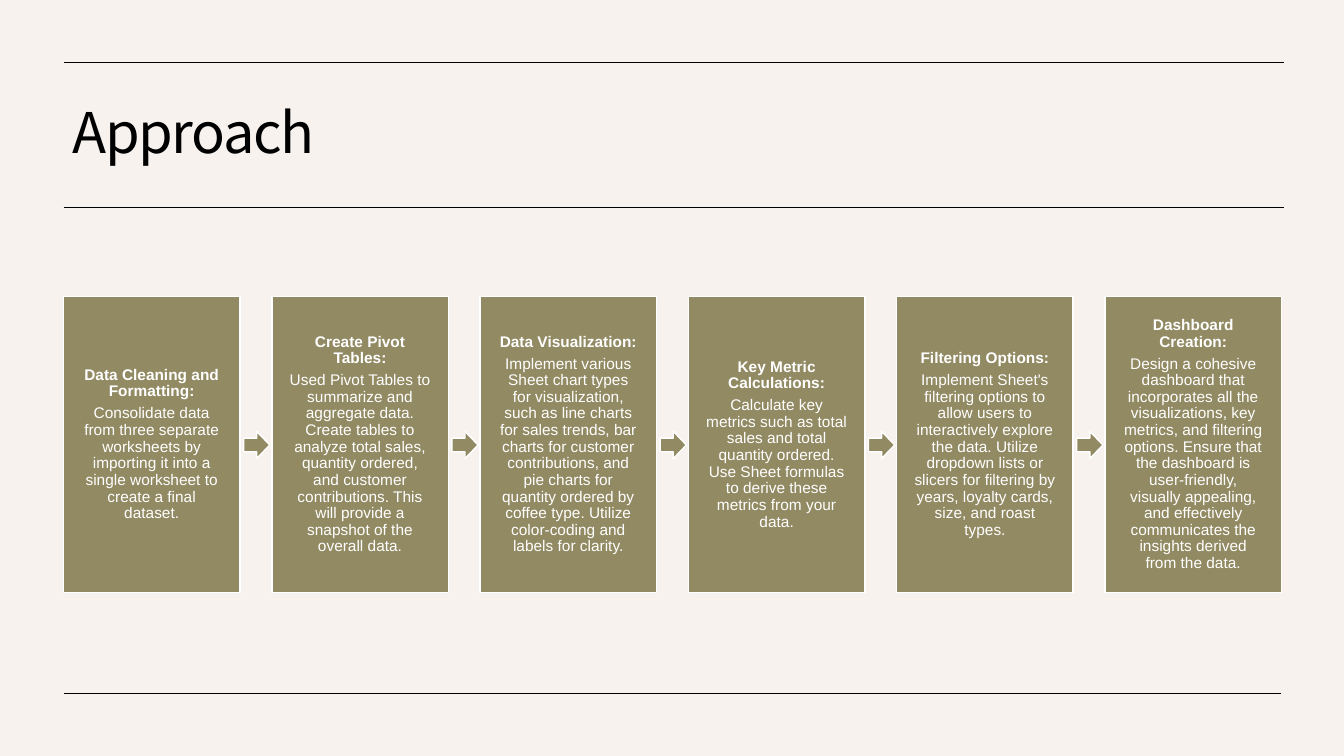
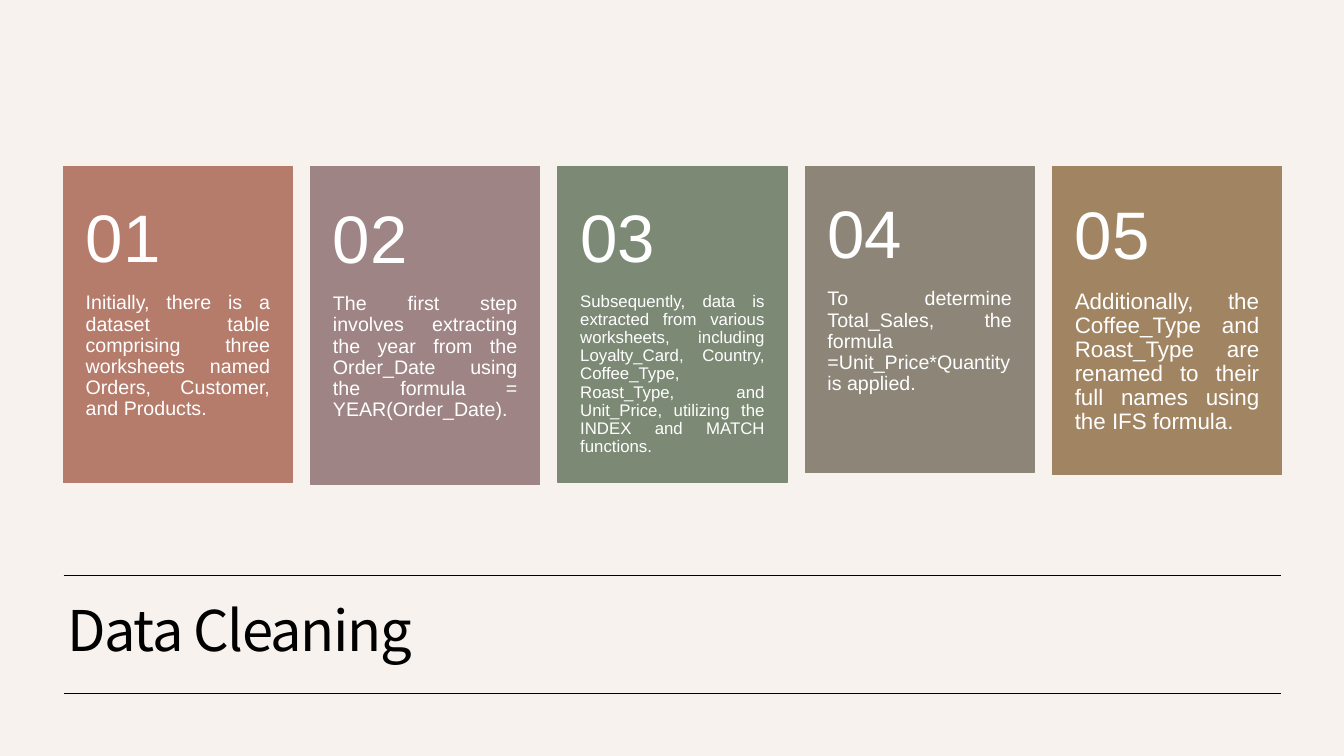
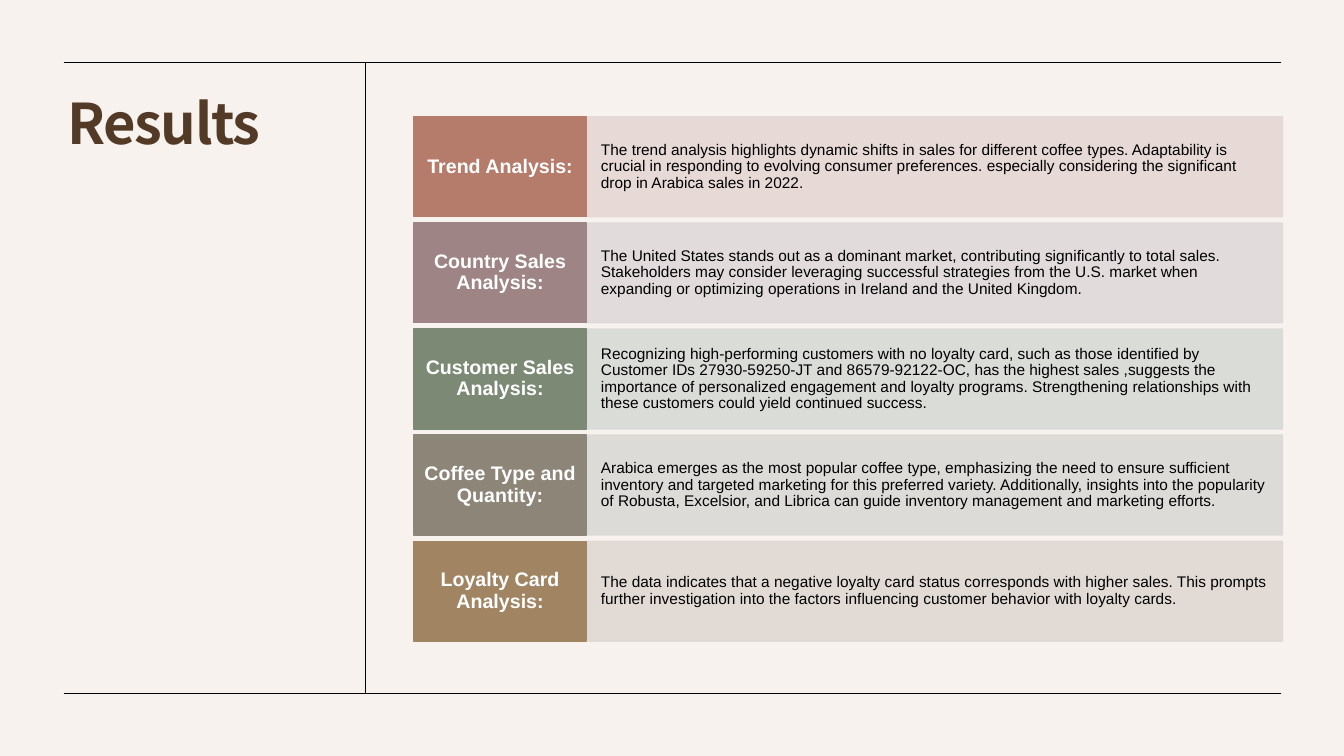
from pptx import Presentation, util as u
from pptx.dml.color import RGBColor
from pptx.enum import shapes, text
from pptx.oxml import parse_xml
from pptx.oxml.ns import nsdecls, qn

INK, WHITE, PAPER = "000000", "FFFFFF", "F7F2EE"
OLIVE, BROWN = "928A63", "523A27"
HUES = ["B57B6B", "9E8484", "7C8A75", "8C8578", "A18563"]
TINTS = ["E5D7D4", "DFD9D9", "D7DAD6", "DAD9D6", "E0D9D3"]
RECT = shapes.MSO_SHAPE.RECTANGLE
ARROW = shapes.MSO_SHAPE.RIGHT_ARROW
LEFT, MID, JUST = text.PP_ALIGN.LEFT, text.PP_ALIGN.CENTER, text.PP_ALIGN.JUSTIFY
TOP, HALF = text.MSO_ANCHOR.TOP, text.MSO_ANCHOR.MIDDLE
X1, X2, Y1, Y2 = 0.63, 12.71, 0.62, 6.88


def rgb(code):
    return RGBColor.from_string(code)


def inch(*nums):
    return [u.Inches(n) for n in nums]


class Deck:
    def __init__(self):
        self.prs = Presentation()
        self.prs.slide_width, self.prs.slide_height = inch(13.33, 7.5)
        fill = self.prs.slide_master.background.fill
        fill.solid()
        fill.fore_color.rgb = rgb(PAPER)

    def page(self):
        self.slide = self.prs.slides.add_slide(self.prs.slide_layouts[6])
        self.rule(X1, Y2, X2, Y2)

    def rule(self, *ends):
        line = self.slide.shapes.add_connector(shapes.MSO_CONNECTOR.STRAIGHT, *inch(*ends))
        line.line.color.rgb = rgb(INK)
        line.line.width = u.Pt(0.5)
        line._element.spPr.append(parse_xml(f"<a:effectLst {nsdecls('a')}/>"))

    def box(self, at, hue, edge=None, kind=RECT, alpha=None):
        box = self.slide.shapes.add_shape(kind, *inch(*at))
        box.shadow.inherit = False
        box.fill.solid()
        box.fill.fore_color.rgb = rgb(hue)
        box.line.color.rgb = rgb(edge or hue)
        box.line.width = u.Pt(1)
        if alpha:
            for tint in box._element.spPr.iter(qn("a:srgbClr")):
                tint.append(parse_xml(f'<a:alpha {nsdecls("a")} val="{alpha * 1000}"/>'))
        return box

    def label(self, at):
        return self.slide.shapes.add_textbox(*inch(*at))

    def words(self, shape, parts, size, hue=WHITE, bold=(False,), align=LEFT,
              anchor=HALF, pad=(0.1, 0.05, 0.1, 0.05), face="Arial", after=0.35):
        frame = shape.text_frame
        frame.word_wrap = True
        frame.vertical_anchor = anchor
        (frame.margin_left, frame.margin_top,
         frame.margin_right, frame.margin_bottom) = inch(*pad)
        frame.text = "\n".join(parts)
        for para, heavy in zip(frame.paragraphs, bold):
            para.alignment = align
            para.line_spacing = 0.9
            para.space_after = u.Pt(size * after)
            font = para.font
            font.name, font.size, font.bold = face, u.Pt(size), heavy
            font.color.rgb = rgb(hue)
        return frame

    def title(self, at, name, hue=INK, bold=False, anchor=HALF):
        frame = self.words(self.label(at), [name], 40, hue, [bold], anchor=anchor,
                           face="Noto Sans CJK KR", after=0)
        frame.paragraphs[0]._p.pPr.find(qn("a:defRPr")).set("spc", "-100")


STEPS = [
    ("Data Cleaning and Formatting:", "Consolidate data from three separate worksheets by importing it into a single worksheet to create a final dataset."),
    ("Create Pivot Tables:", "Used Pivot Tables to summarize and aggregate data. Create tables to analyze total sales, quantity ordered, and customer contributions. This will provide a snapshot of the overall data."),
    ("Data Visualization:", "Implement various Sheet chart types for visualization, such as line charts for sales trends, bar charts for customer contributions, and pie charts for quantity ordered by coffee type. Utilize color-coding and labels for clarity."),
    ("Key Metric Calculations:", "Calculate key metrics such as total sales and total quantity ordered. Use Sheet formulas to derive these metrics from your data."),
    ("Filtering Options:", "Implement Sheet's filtering options to allow users to interactively explore the data. Utilize dropdown lists or slicers for filtering by years, loyalty cards, size, and roast types."),
    ("Dashboard Creation:", "Design a cohesive dashboard that incorporates all the visualizations, key metrics, and filtering options. Ensure that the dashboard is user-friendly, visually appealing, and effectively communicates the insights derived from the data."),
]

CARDS = [
    (3.14, 14, "Initially, there is a dataset table comprising three worksheets named Orders, Customer, and Products."),
    (3.16, 14, "The first step involves extracting the year from the Order_Date using the formula = YEAR(Order_Date)."),
    (3.14, 12, "Subsequently, data is extracted from various worksheets, including Loyalty_Card, Country, Coffee_Type, Roast_Type, and Unit_Price, utilizing the INDEX and MATCH functions."),
    (3.04, 14, "To determine Total_Sales, the formula =Unit_Price*Quantity is applied."),
    (3.06, 16, "Additionally, the Coffee_Type and Roast_Type are renamed to their full names using the IFS formula."),
]

FACTS = [
    ("Trend Analysis:", "The trend analysis highlights dynamic shifts in sales for different coffee types. Adaptability is crucial in responding to evolving consumer preferences. especially considering the significant drop in Arabica sales in 2022."),
    ("Country Sales Analysis:", "The United States stands out as a dominant market, contributing significantly to total sales. Stakeholders may consider leveraging successful strategies from the U.S. market when expanding or optimizing operations in Ireland and the United Kingdom."),
    ("Customer Sales Analysis:", "Recognizing high-performing customers with no loyalty card, such as those identified by Customer IDs 27930-59250-JT and 86579-92122-OC, has the highest sales ,suggests the importance of personalized engagement and loyalty programs. Strengthening relationships with these customers could yield continued success."),
    ("Coffee Type and Quantity:", "Arabica emerges as the most popular coffee type, emphasizing the need to ensure sufficient inventory and targeted marketing for this preferred variety. Additionally, insights into the popularity of Robusta, Excelsior, and Librica can guide inventory management and marketing efforts."),
    ("Loyalty Card Analysis:", "The data indicates that a negative loyalty card status corresponds with higher sales. This prompts further investigation into the factors influencing customer behavior with loyalty cards."),
]


def approach(deck):
    deck.page()
    for y in (Y1, 2.06):
        deck.rule(X1, y, 12.73, y)
    deck.title((0.62, 0.75, 12.08, 1.19), "Approach")
    step = (10.96 - X1) / (len(STEPS) - 1)
    for i, parts in enumerate(STEPS):
        x = X1 + i * step
        if i:
            deck.box((x - 0.28, 4.28, 0.26, 0.27), OLIVE, WHITE, ARROW)
        box = deck.box((x, 2.94, 1.75, 2.94), OLIVE, WHITE)
        deck.words(box, parts, 11, bold=(True, False), align=MID, pad=[0.17] * 4)


def cleaning(deck):
    deck.page()
    deck.title((0.57, 5.78, 12.08, 1), "Data Cleaning")
    deck.rule(X1, 5.71, X2, 5.71)
    step = (10.44 - X1) / (len(CARDS) - 1)
    top, wide = 1.65, 2.27
    for i, (tall, size, note) in enumerate(CARDS):
        x = X1 + i * step
        y = top + 0.4 * tall
        deck.box((x, top, wide, tall), HUES[i])
        deck.words(deck.label((x, y, wide, 0.6 * tall)), [note], size,
                   align=JUST, anchor=TOP, pad=(0.22, 0, 0.22, 0.36))
        deck.words(deck.label((x, y - 1.06, wide, 1.09)), [f"{i + 1:02}"], 48,
                   pad=(0.22, 0.18, 0.22, 0.18))


def results(deck):
    deck.page()
    deck.title((0.57, 0.9, 2.72, 5.79), "Results", BROWN, True, TOP)
    deck.rule(3.62, Y1, 3.62, Y2)
    deck.rule(X1, Y1, X2, Y1)
    step = (5.37 - 1.16) / (len(FACTS) - 1)
    for i, (head, note) in enumerate(FACTS):
        y = 1.16 + i * step
        body = deck.box((5.83, y, 6.89, 0.99), TINTS[i], alpha=90)
        deck.words(body, [note], 11, INK, pad=(0.13, 0.25, 0.13, 0.25))
        tag = deck.box((4.1, y, 1.72, 0.99), HUES[i])
        deck.words(tag, [head], 14, bold=[True], align=MID, pad=(0.09, 0.1, 0.09, 0.1))


def main():
    deck = Deck()
    approach(deck)
    cleaning(deck)
    results(deck)
    deck.prs.save("out.pptx")


if __name__ == "__main__":
    main()
